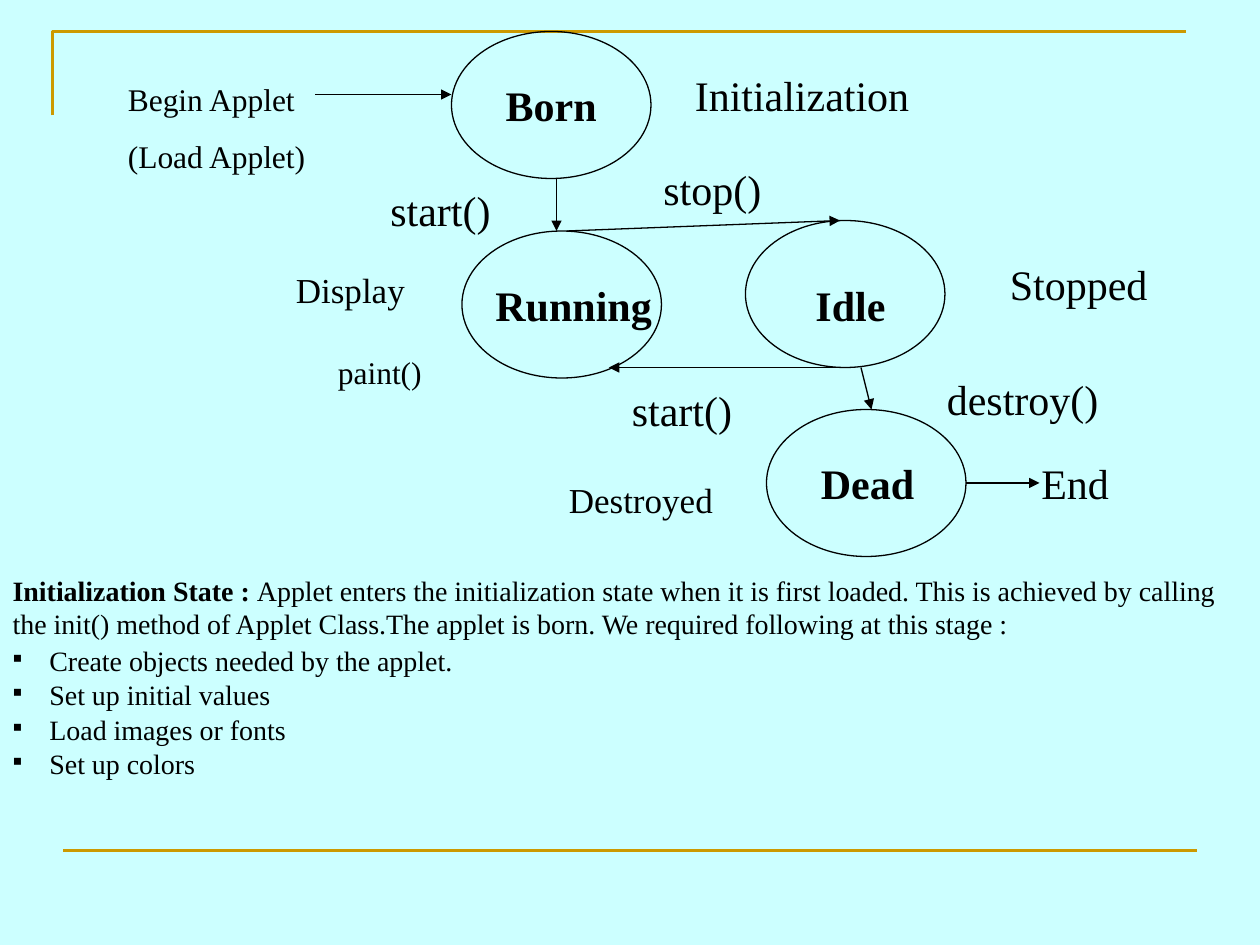
import pptx
import pptx.dml.color
import pptx.enum.shapes
import pptx.enum.text
import pptx.oxml
import pptx.oxml.ns
import pptx.util

BLACK = pptx.dml.color.RGBColor(0x00, 0x00, 0x00)
GOLD = pptx.dml.color.RGBColor(0xCC, 0x99, 0x00)
PALE_CYAN = pptx.dml.color.RGBColor(0xCC, 0xFF, 0xFF)
LEFT = pptx.enum.text.PP_ALIGN.LEFT
CENTER = pptx.enum.text.PP_ALIGN.CENTER
EMU_PER_PX = 7620  # 120 px to the inch


def px(length):
    return pptx.util.Emu(length * EMU_PER_PX)


def add_element(parent, tag, **attributes):
    element = pptx.oxml.ns.qn(tag)
    child = parent.makeelement(element, attributes)
    parent.append(child)
    return child


class Painter:
    font_name = "Times New Roman"

    def __init__(self, slide):
        self.slide = slide

    def background(self, color):
        fill = self.slide.background.fill
        fill.solid()
        fill.fore_color.rgb = color

    def outline(self, shape, color, width):
        shape.line.color.rgb = color
        shape.line.width = pptx.util.Pt(width)

    def span(self, para, text, size, bold=False):
        span = para.add_run()
        span.text = text
        span.font.name = self.font_name
        span.font.size = pptx.util.Pt(size)
        span.font.bold = bold
        span.font.color.rgb = BLACK

    def label(self, left, top, width, height, lines, size=24, bold=False,
              align=LEFT, gap=0):
        box = self.slide.shapes.add_textbox(px(left), px(top), px(width), px(height))
        frame = box.text_frame
        frame.word_wrap = True
        for index, line in enumerate(lines):
            para = frame.paragraphs[0] if index == 0 else frame.add_paragraph()
            para.alignment = align
            if index:
                para.space_before = pptx.util.Pt(gap)
            self.span(para, line, size, bold)

    def state(self, left, top):
        oval = self.slide.shapes.add_shape(
            pptx.enum.shapes.MSO_SHAPE.OVAL, px(left), px(top), px(190), px(140))
        oval.shadow.inherit = False
        oval.fill.background()
        self.outline(oval, BLACK, 0.75)

    def line(self, start, end, color=BLACK, width=0.75, arrow=True):
        line = self.slide.shapes.add_connector(
            pptx.enum.shapes.MSO_CONNECTOR.STRAIGHT, *map(px, start + end))
        self.outline(line, color, width)
        if arrow:
            add_element(line.line._get_or_add_ln(), "a:tailEnd", type="triangle")
        add_element(line._element.spPr, "a:effectLst")

    def corner(self, points, color, width):
        builder = self.slide.shapes.build_freeform(*points[0], scale=EMU_PER_PX)
        builder.add_line_segments(points[1:], close=False)
        shape = builder.convert_to_shape()
        shape.shadow.inherit = False
        shape.fill.background()
        self.outline(shape, color, width)

    def body(self, left, top, width, height, heading, intro, items, size=16):
        box = self.slide.placeholders[1]
        box.left, box.top, box.width, box.height = map(px, (left, top, width, height))
        frame = box.text_frame
        frame.word_wrap = True
        frame.auto_size = pptx.enum.text.MSO_AUTO_SIZE.NONE
        frame.vertical_anchor = pptx.enum.text.MSO_ANCHOR.TOP
        # Introductory paragraph
        para = frame.paragraphs[0]
        properties = para._p.get_or_add_pPr()
        properties.set("marL", "0")
        properties.set("indent", "0")
        add_element(properties, "a:buNone")
        para.space_before = pptx.util.Pt(0)
        self.span(para, heading, size, bold=True)
        self.span(para, intro, size)
        # Bulleted list
        indent = px(35)
        for item in items:
            para = frame.add_paragraph()
            properties = para._p.get_or_add_pPr()
            properties.set("marL", str(indent))
            properties.set("indent", str(-indent))
            bullet_color = add_element(properties, "a:buClr")
            add_element(bullet_color, "a:srgbClr", val=str(BLACK))
            add_element(properties, "a:buFont", typeface=self.font_name)
            add_element(properties, "a:buChar", char="▪")
            para.line_spacing = 0.5
            para.space_before = pptx.util.Pt(10)
            self.span(para, item, size)


def main():
    deck = pptx.Presentation()
    deck.slide_width, deck.slide_height = px(1200), px(900)
    slide = deck.slides.add_slide(deck.slide_layouts[1])
    title = slide.shapes.title._element
    title.getparent().remove(title)
    painter = Painter(slide)
    painter.background(PALE_CYAN)

    # Gold frame
    painter.corner([(50, 110), (50, 30), (1130, 30)], GOLD, 1.5)
    painter.line((60, 810), (1140, 810), GOLD, 1.5, arrow=False)

    # States
    for left, top in [(430, 30), (440, 220), (710, 210), (730, 390)]:
        painter.state(left, top)
    painter.label(460, 70, 130, 60, ["Born"], bold=True, align=CENTER)
    painter.label(460, 260, 180, 60, ["Running"], bold=True)
    painter.label(740, 260, 140, 60, ["Idle"], bold=True, align=CENTER)
    painter.label(770, 430, 120, 60, ["Dead"], bold=True)

    # Transitions
    for start, end in [
        ((300, 90), (430, 90)),
        ((530, 170), (530, 220)),
        ((540, 220), (800, 210)),
        ((810, 350), (580, 350)),
        ((820, 350), (830, 390)),
        ((920, 460), (990, 460)),
    ]:
        painter.line(start, end)

    # Labels beside the states and transitions
    painter.label(110, 70, 230, 103, ["Begin Applet", "(Load Applet)"], 18, gap=11.2)
    for text, left, top, width, size in [
        ("Initialization", 650, 60, 240, 24),
        ("start()", 360, 170, 160, 24),
        ("stop()", 620, 150, 160, 24),
        ("start()", 590, 360, 160, 24),
        ("paint()", 310, 330, 130, 18),
        ("Display", 270, 250, 170, 20),
        ("Stopped", 950, 240, 180, 24),
        ("destroy()", 890, 350, 240, 24),
        ("End", 980, 430, 170, 24),
        ("Destroyed", 530, 450, 180, 20),
    ]:
        painter.label(left, top, width, size * 2 + 12, [text], size)

    # Explanation
    painter.body(
        0, 540, 1200, 208,
        "Initialization State : ",
        "Applet enters the initialization state when it is first loaded. "
        "This is achieved by calling the init() method of Applet Class."
        "The applet is born. We required following at this stage :",
        ["Create objects needed by the applet.", "Set up initial values",
         "Load images or fonts", "Set up colors"])

    deck.save("out.pptx")


if __name__ == "__main__":
    main()
